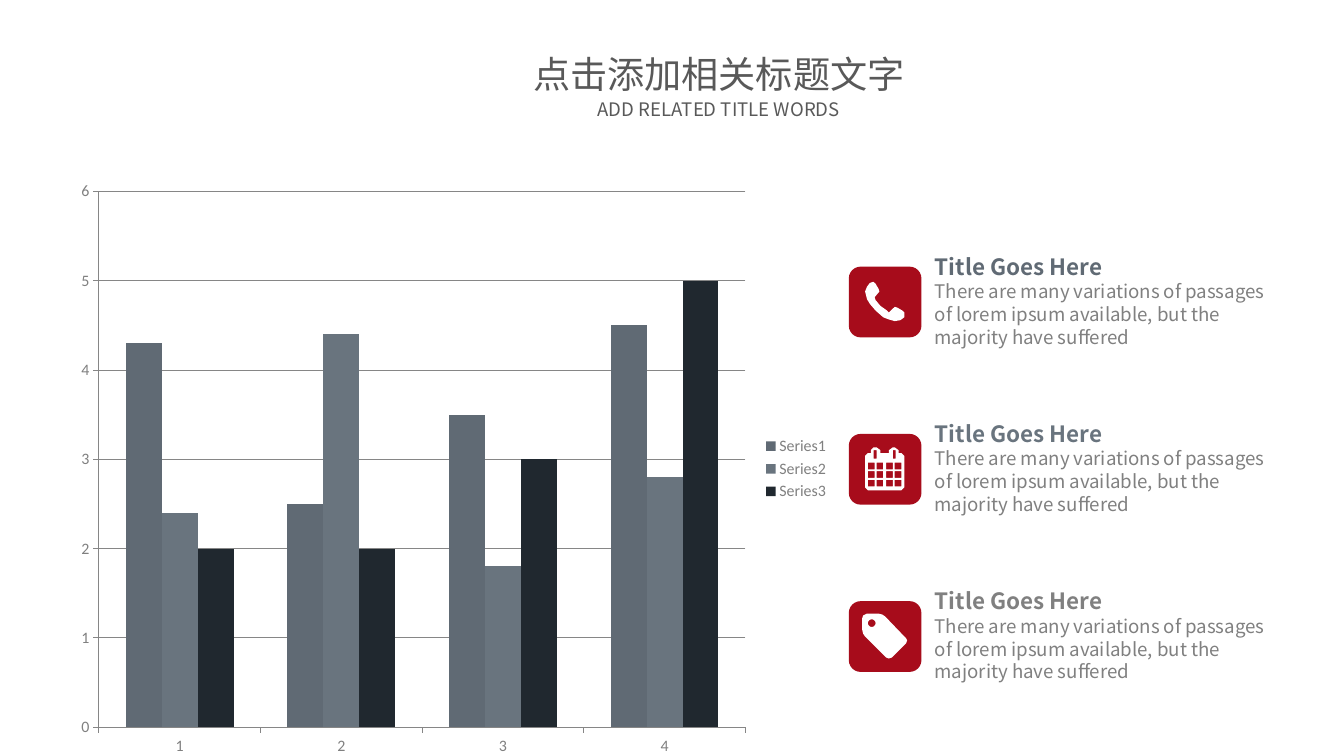
from math import cos, pi, sin

from lxml import etree
from pptx import Presentation
from pptx.chart.data import CategoryChartData
from pptx.dml.color import RGBColor
from pptx.enum.chart import XL_CHART_TYPE as ChartType, XL_LEGEND_POSITION as LegendPosition
from pptx.enum.chart import XL_TICK_MARK as TickMark
from pptx.enum.shapes import MSO_SHAPE as Shape
from pptx.enum.text import MSO_AUTO_SIZE as AutoSize, PP_ALIGN as Align
from pptx.oxml.ns import qn
from pptx.util import Pt

PX = 9144  # 100 px to the inch
LINE_HEIGHT = 1.22
TEXT_FONT, CHART_FONT = "Noto Sans CJK SC", "Calibri"

WHITE = RGBColor(0xFF, 0xFF, 0xFF)
RED = RGBColor(0xA7, 0x0C, 0x1B)
SLATE = RGBColor(0x60, 0x6A, 0x74)
STEEL = RGBColor(0x69, 0x74, 0x7E)
NAVY = RGBColor(0x20, 0x28, 0x2F)
GREY = RGBColor(0x80, 0x80, 0x80)
AXIS_GREY = RGBColor(0x86, 0x86, 0x86)
HEADING_GREY = RGBColor(0x59, 0x59, 0x59)

CATEGORIES = ["1", "2", "3", "4"]
SERIES = [
    ("Series1", (4.3, 2.5, 3.5, 4.5), SLATE),
    ("Series2", (2.4, 4.4, 1.8, 2.8), STEEL),
    ("Series3", (2, 2, 3, 5), NAVY),
]
ITEM_TITLE = "Title Goes Here"
ITEM_BODY = ("There are many variations of passages of lorem ipsum available, "
             "but the majority have suffered")
ITEM_TOP, ITEM_STEP = 259, 175


# Icon outlines, in px from the corner of their tile
def box(left, top, width, height):
    return [(left, top), (left + width, top),
            (left + width, top + height), (left, top + height)]


def circle(x, y, radius, steps=24):
    angles = [2 * pi * step / steps for step in range(steps)]
    return [(x + radius * cos(a), y + radius * sin(a)) for a in angles]


PHONE = [[
    (58, 53), (54, 56), (48, 57), (41, 55), (36, 53), (28, 46), (22, 39), (19, 34),
    (17, 26), (19, 21), (22, 17), (25, 16), (26, 16), (28, 18), (31, 23), (32, 26),
    (27, 32), (28, 35), (33, 41), (40, 46), (42, 48), (48, 42), (51, 43), (56, 46),
    (58, 48),
]]
CALENDAR = [
    [(58, 56), (55, 59), (20, 59), (17, 56), (17, 23), (20, 20), (23, 20), (23, 17),
     (26, 14), (29, 14), (33, 17), (33, 20), (42, 20), (42, 17), (46, 14), (48, 14),
     (52, 17), (52, 20), (55, 20), (58, 23)],
    *[box(left, 17, 3, 9) for left in (26, 46)],
    *[box(left, top, 7, 7) for top in (30, 39, 48) for left in (20, 29, 39, 48)],
]
TAG = [
    [(60, 44), (45, 59), (42, 60), (39, 59), (17, 37), (15, 34), (14, 30), (14, 18),
     (15, 15), (19, 13), (31, 13), (35, 14), (38, 16), (60, 39), (61, 41)],
    circle(24, 23, 4),
]
ITEMS = [(PHONE, SLATE), (CALENDAR, STEEL), (TAG, GREY)]


def px(*lengths):
    return [round(length * PX) for length in lengths]


def style_paragraph(paragraph, size, color, bold=False):
    paragraph.line_spacing = Pt(size * LINE_HEIGHT)
    for run in paragraph.runs:
        font = run.font
        font.name, font.size, font.bold = TEXT_FONT, Pt(size), bold
        font.color.rgb = color
        east_asian = etree.SubElement(run._r.get_or_add_rPr(), qn("a:ea"))
        east_asian.set("typeface", TEXT_FONT)


def paint(shape, color):
    shape.shadow.inherit = False
    shape.fill.solid()
    shape.fill.fore_color.rgb = color
    shape.line.fill.background()


def add_heading(slide, text, size, *place):
    frame = slide.shapes.add_textbox(*px(*place)).text_frame
    frame.word_wrap = False
    frame.auto_size = AutoSize.SHAPE_TO_FIT_TEXT
    frame.margin_left, frame.margin_right = px(11, 11)
    frame.text = text
    heading = frame.paragraphs[0]
    heading.alignment = Align.CENTER
    style_paragraph(heading, size, HEADING_GREY)


def style_chart_font(font):
    font.name, font.size = CHART_FONT, Pt(12)
    font.color.rgb = GREY


def style_line(line):
    line.color.rgb = AXIS_GREY
    line.width = Pt(0.75)


def add_column_chart(slide, *place):
    data = CategoryChartData()
    data.categories = CATEGORIES
    for name, values, _ in SERIES:
        data.add_series(name, values)
    chart = slide.shapes.add_chart(ChartType.COLUMN_CLUSTERED, *px(*place), data).chart
    chart.has_title = False
    style_chart_font(chart.font)

    columns = chart.plots[0]
    columns.gap_width, columns.overlap = 150, 0
    columns.vary_by_categories = False
    for series, (_, _, color) in zip(columns.series, SERIES):
        series.format.fill.solid()
        series.format.fill.fore_color.rgb = color

    for axis in (chart.category_axis, chart.value_axis):
        axis.major_tick_mark, axis.minor_tick_mark = TickMark.OUTSIDE, TickMark.NONE
        style_line(axis.format.line)
        style_chart_font(axis.tick_labels.font)
    chart.value_axis.minimum_scale, chart.value_axis.maximum_scale = 0, 6
    chart.value_axis.major_unit = 1
    style_line(chart.value_axis.major_gridlines.format.line)

    chart.has_legend = True
    chart.legend.position = LegendPosition.RIGHT
    chart.legend.include_in_layout = False
    style_chart_font(chart.legend.font)


def add_icon_tile(slide, outlines, left, top):
    group = slide.shapes.add_group_shape()
    paint(group.shapes.add_shape(Shape.ROUNDED_RECTANGLE, *px(left, top, 76, 74)), RED)
    contours = [[(left + x, top + y) for x, y in outline] for outline in outlines]
    builder = group.shapes.build_freeform(*px(*contours[0][0]), scale=1.0)
    for number, (start, *others) in enumerate(contours):
        if number:
            builder.move_to(*px(*start))
        builder.add_line_segments([px(*point) for point in others], close=True)
    paint(builder.convert_to_shape(), WHITE)


def add_item_text(slide, title_color, *place):
    frame = slide.shapes.add_textbox(*px(*place)).text_frame
    frame.word_wrap = True
    frame.auto_size = AutoSize.SHAPE_TO_FIT_TEXT
    frame.text = ITEM_TITLE
    style_paragraph(frame.paragraphs[0], 16.9, title_color, bold=True)
    body = frame.add_paragraph()
    body.text = ITEM_BODY
    style_paragraph(body, 14.1, GREY)


def main():
    deck = Presentation()
    deck.slide_width, deck.slide_height = px(1406, 791)
    slide = deck.slides.add_slide(deck.slide_layouts[6])

    # Chart
    add_column_chart(slide, 69, 178, 809, 625)

    # Items with icons
    for number, (outlines, title_color) in enumerate(ITEMS):
        top = ITEM_TOP + number * ITEM_STEP
        add_item_text(slide, title_color, 968, top, 369, 109)
        add_icon_tile(slide, outlines, 888, top + 20)

    # Headings
    add_heading(slide, "点击添加相关标题文字", 28, 545, 48, 414, 58)
    add_heading(slide, "ADD RELATED TITLE WORDS", 14, 601, 97, 302, 34)

    deck.save("out.pptx")


if __name__ == "__main__":
    main()
